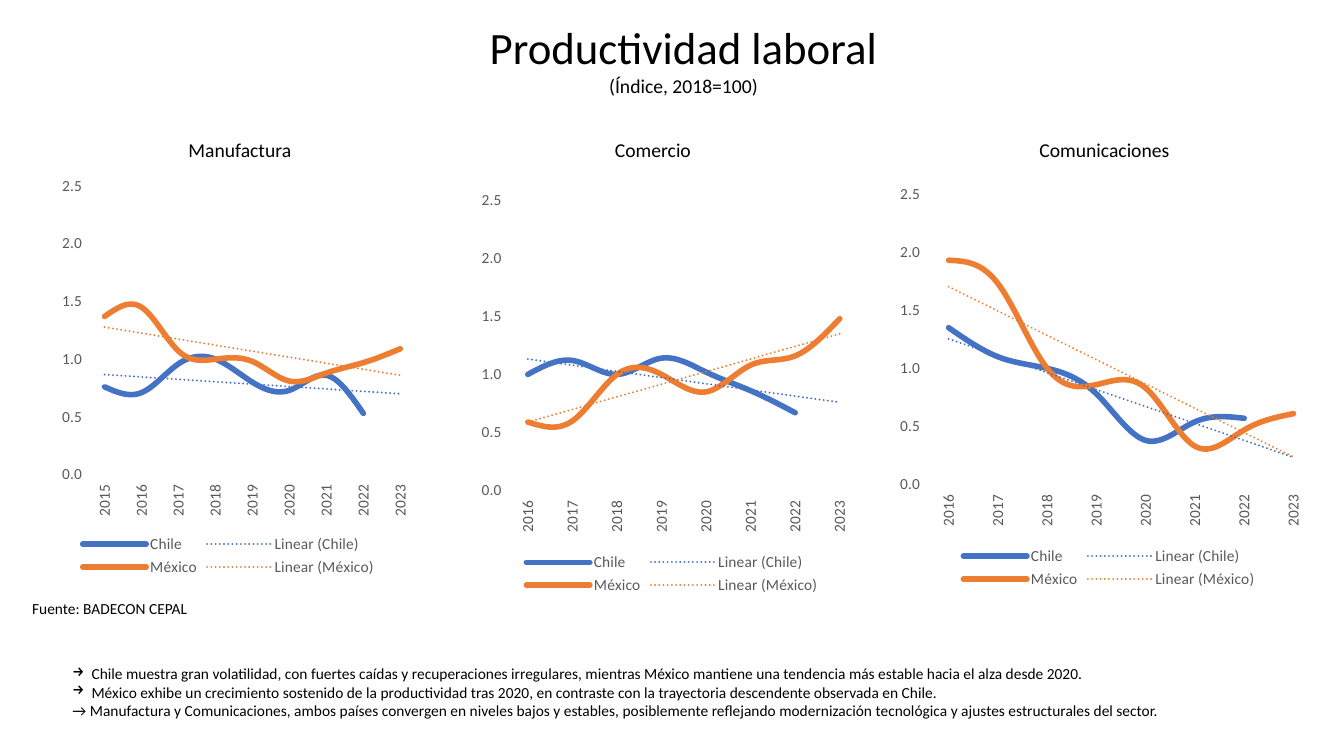
import pptx
import pptx.chart.data
import pptx.dml.color
import pptx.enum.chart
import pptx.enum.text
import pptx.oxml
import pptx.oxml.ns
import pptx.util
from pptx.util import Inches, Pt

COLORS = {"text": "000000", "axis": "595959", "Chile": "4472C4", "México": "ED7D31"}
FONT = "Calibri"

PANELS = [
    {"name": "Manufactura", "head": (1.77, 1.32, 1.41, 0.34),
     "box": (0.22, 1.64, 4.09, 4.12), "plot": (0.155, 0.05, 0.807, 0.695),
     "start": 2015, "form": "0.0",
     "Chile": [0.76, 0.71, 0.96, 1, 0.8, 0.73, 0.86, 0.53, None],
     "México": [1.37, 1.45, 1.07, 1, 0.98, 0.81, 0.88, 0.97, 1.09]},
    {"name": "Comercio", "head": (6, 1.32, 0.98, 0.34),
     "box": (4.7, 1.82, 3.93, 4.12), "plot": (0.08, 0.04, 0.9, 0.7),
     "start": 2016, "form": "#,##0.0",
     "Chile": [1, 1.12, 1, 1.14, 1.02, 0.86, 0.67, None],
     "México": [0.59, 0.6, 1, 1, 0.85, 1.08, 1.16, 1.48]},
    {"name": "Comunicaciones", "head": (10.21, 1.32, 1.57, 0.34),
     "box": (8.84, 1.76, 4.32, 4.12), "plot": (0.075, 0.04, 0.905, 0.7),
     "start": 2016, "form": "#,##0.0",
     "Chile": [1.35, 1.1, 1, 0.78, 0.38, 0.54, 0.57, None],
     "México": [1.93, 1.73, 1, 0.86, 0.83, 0.33, 0.47, 0.61]},
]

NOTES = [
    "Chile muestra gran volatilidad, con fuertes caídas y recuperaciones irregulares, "
    "mientras México mantiene una tendencia más estable hacia el alza desde 2020.",
    "México exhibe un crecimiento sostenido de la productividad tras 2020, "
    "en contraste con la trayectoria descendente observada en Chile.",
    "→ Manufactura y Comunicaciones, ambos países convergen en niveles bajos y estables, "
    "posiblemente reflejando modernización tecnológica y ajustes estructurales del sector.",
]


def paint(font, size, color):
    """Set the face, size and colour of a font."""
    font.name = FONT
    font.size = Pt(size)
    font.color.rgb = pptx.dml.color.RGBColor.from_string(COLORS[color])


def parse(tag, body):
    """Build a chart element from its tag and inner XML."""
    spaces = pptx.oxml.ns.nsdecls("c", "a")
    return pptx.oxml.parse_xml(f"<c:{tag} {spaces}>{body}</c:{tag}>")


def add_text(slide, box, lines, size):
    """Place a text box and return its paragraphs."""
    frame = slide.shapes.add_textbox(*map(Inches, box)).text_frame
    frame.word_wrap = True
    frame.auto_size = pptx.enum.text.MSO_AUTO_SIZE.SHAPE_TO_FIT_TEXT
    frame.text = "\n".join(lines)
    for para in frame.paragraphs:
        paint(para.font, size, "text")
    return frame.paragraphs


def add_title(slide, box):
    """Format the title placeholder with its heading and unit line."""
    title = slide.shapes.title
    title.left, title.top, title.width, title.height = map(Inches, box)
    frame = title.text_frame
    frame.text = "Productividad laboral\n(Índice, 2018=100)"
    frame.word_wrap = True
    frame.auto_size = pptx.enum.text.MSO_AUTO_SIZE.SHAPE_TO_FIT_TEXT
    frame.vertical_anchor = pptx.enum.text.MSO_ANCHOR.TOP
    for para, size in zip(frame.paragraphs, (32, 14)):
        para.alignment = pptx.enum.text.PP_ALIGN.CENTER
        para.space_before = Pt(0)
        paint(para.font, size, "text")


def style_line(line):
    """Draw a series as a thick smooth line with a dotted linear trend."""
    color = COLORS[line.name]
    line.smooth = True
    line.marker.style = pptx.enum.chart.XL_MARKER_STYLE.NONE
    line.format.line.width = Pt(4)
    line.format.line.color.rgb = pptx.dml.color.RGBColor.from_string(color)
    line._element.get_or_add_spPr().find(pptx.oxml.ns.qn("a:ln")).set("cap", "rnd")
    trend = parse("trendline",
                  f'<c:spPr><a:ln w="{Pt(1.5)}" cap="rnd"><a:solidFill><a:srgbClr val="{color}"/>'
                  '</a:solidFill><a:prstDash val="sysDot"/></a:ln></c:spPr>'
                  '<c:trendlineType val="linear"/><c:dispRSqr val="0"/><c:dispEq val="0"/>')
    line._element.find(pptx.oxml.ns.qn("c:cat")).addprevious(trend)


def style_axes(chart, form):
    """Give both axes grey labels and no lines."""
    years, index = chart.category_axis, chart.value_axis
    for axis in (years, index):
        axis.has_major_gridlines = False
        axis.major_tick_mark = pptx.enum.chart.XL_TICK_MARK.NONE
        axis.minor_tick_mark = pptx.enum.chart.XL_TICK_MARK.NONE
        axis.format.line.fill.background()
        paint(axis.tick_labels.font, 11, "axis")
    years.tick_label_position = pptx.enum.chart.XL_TICK_LABEL_POSITION.LOW
    turn = years._element.find(".//" + pptx.oxml.ns.qn("a:bodyPr"))
    turn.set("rot", "-5400000")
    turn.set("vert", "horz")
    index.minimum_scale, index.maximum_scale, index.major_unit = 0, 2.5, 0.5
    index.tick_labels.number_format = form
    index.tick_labels.number_format_is_linked = False


def set_plot(chart, plot):
    """Fix the inner plot area to fractions of the chart."""
    area = chart._chartSpace.find(".//" + pptx.oxml.ns.qn("c:plotArea"))
    for old in area.findall(pptx.oxml.ns.qn("c:layout")):
        area.remove(old)
    sides = "".join(f'<c:{key} val="{val}"/>' for key, val in zip("xywh", plot))
    area.insert(0, parse("layout", '<c:manualLayout><c:layoutTarget val="inner"/>'
                         '<c:xMode val="edge"/><c:yMode val="edge"/>'
                         f'{sides}</c:manualLayout>'))


def add_panel(slide, panel):
    """Place one sector heading and its line chart."""
    add_text(slide, panel["head"], [panel["name"]], 14)
    data = pptx.chart.data.CategoryChartData(number_format=panel["form"])
    start = panel["start"]
    data.categories = [str(year) for year in range(start, 2024)]
    for land in ("Chile", "México"):
        data.add_series(land, panel[land])
    kind = pptx.enum.chart.XL_CHART_TYPE.LINE
    chart = slide.shapes.add_chart(kind, *map(Inches, panel["box"]), data).chart
    paint(chart.font, 11, "text")
    chart.has_title = False
    chart.has_legend = True
    chart.legend.position = pptx.enum.chart.XL_LEGEND_POSITION.BOTTOM
    chart.legend.include_in_layout = False
    paint(chart.legend.font, 11, "axis")
    chart.plots[0].vary_by_categories = False
    style_axes(chart, panel["form"])
    set_plot(chart, panel["plot"])
    for line in chart.plots[0].series:
        style_line(line)


def add_notes(slide, box):
    """Place the findings, the first two with arrow bullets."""
    for para in add_text(slide, box, NOTES, 11)[:2]:
        props = para._p.get_or_add_pPr()
        props.set("marL", str(Inches(0.19)))
        props.set("indent", str(-Inches(0.19)))
        mark = pptx.oxml.parse_xml(f'<a:buChar {pptx.oxml.ns.nsdecls("a")} char="→"/>')
        props.find(pptx.oxml.ns.qn("a:defRPr")).addprevious(mark)


def main():
    """Build and save the slide."""
    deck = pptx.Presentation()
    deck.slide_width, deck.slide_height = Inches(13.33), Inches(7.5)
    slide = deck.slides.add_slide(deck.slide_layouts[5])
    add_title(slide, (1.77, 0.15, 10.02, 0.88))
    for panel in PANELS:
        add_panel(slide, panel)
    add_text(slide, (0.22, 5.89, 1.82, 0.29), ["Fuente: BADECON CEPAL"], 11)
    add_notes(slide, (0.62, 6.54, 12.47, 0.66))
    deck.save("out.pptx")


if __name__ == "__main__":
    main()
